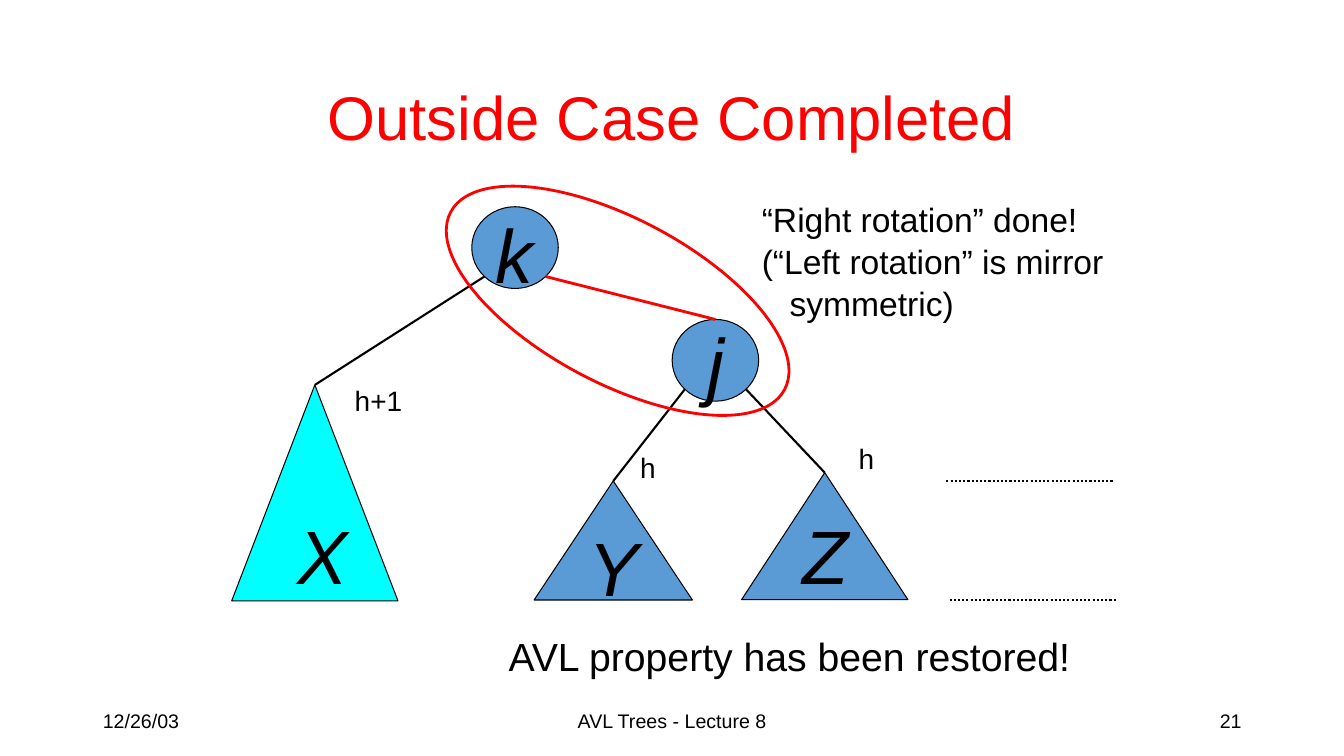
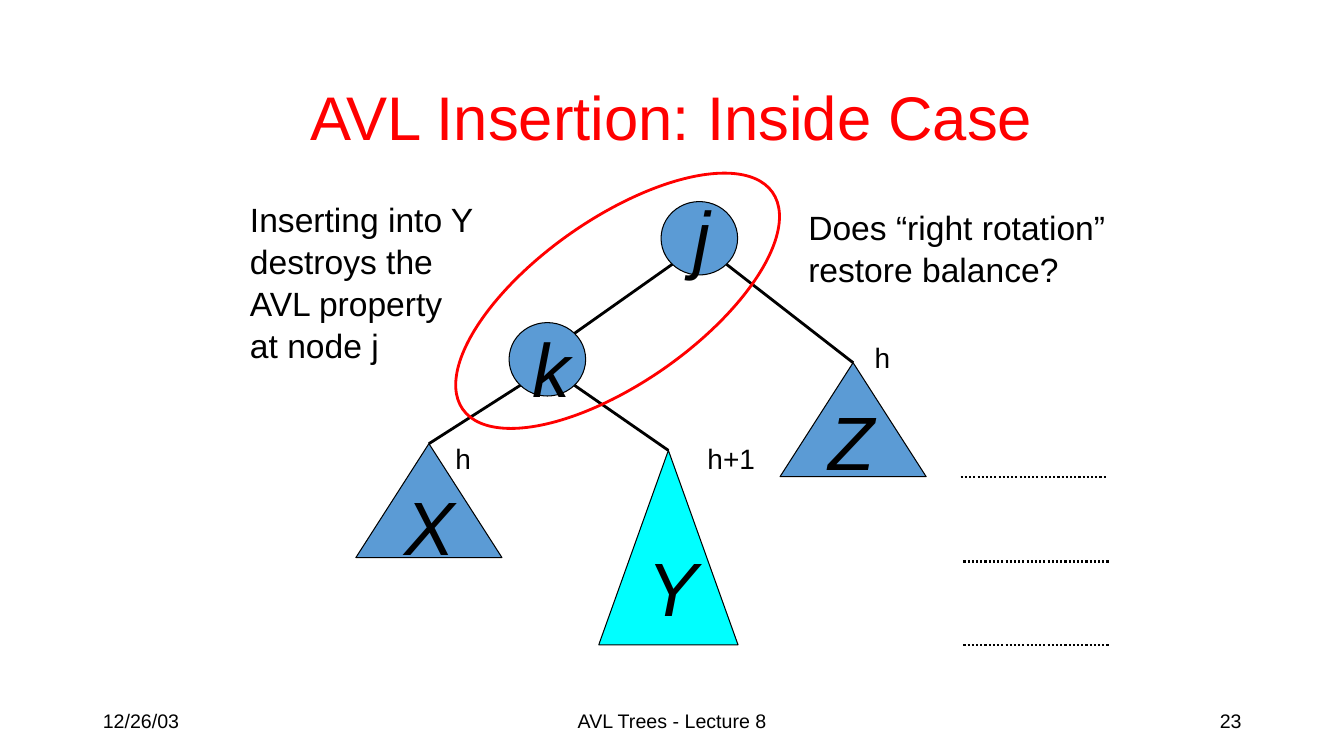
from collections import namedtuple
from math import sqrt

from lxml.etree import SubElement
from pptx import Presentation
from pptx.dml.color import RGBColor
from pptx.enum.dml import MSO_LINE
from pptx.enum.shapes import MSO_CONNECTOR as CONN, MSO_SHAPE as SHAPE
from pptx.enum.text import MSO_ANCHOR as ANCHOR, PP_ALIGN as ALIGN
from pptx.oxml.ns import qn
from pptx.util import Cm, Pt

COLORS = {"black": "000000", "red": "FF0000", "blue": "5B9BD5", "cyan": "00FFFF"}
FONT = "Arial"
Box = namedtuple("Box", "x y w h")
TITLE = Box(6.07, 1.8, 21.72, 2.24)
TREE = Box(5.5, 4, 23, 13)
FOOTER = Box(2.59, 17.65, 28.7, 1.02)
RING = Box(5.3, 1.51, 9.53, 4.14)


def color(name):
    """Return the named colour."""
    return RGBColor.from_string(COLORS[name])


def place(sp, box):
    """Move a shape to a box given in centimetres."""
    sp.left, sp.top, sp.width, sp.height = (Cm(v) for v in box)


def within(outer, x, y, w, h):
    """Turn a position relative to a box into a box on the slide."""
    return Box(outer.x + x, outer.y + y, w, h)


def add_run(p, text, size, tint="black", italic=None):
    """Add one formatted run."""
    r = p.add_run()
    r.text = text
    r.font.name, r.font.size, r.font.italic = FONT, Pt(size), italic
    r.font.color.rgb = color(tint)


def add_text(slide, box, lines, size, align=ALIGN.LEFT, anchor=ANCHOR.TOP,
             italic=None, spacing=None):
    """Add a text box without margins, one paragraph for each line."""
    sp = slide.shapes.add_textbox(*(Cm(v) for v in box))
    tf = sp.text_frame
    tf.word_wrap = True
    tf.vertical_anchor = anchor
    tf.margin_left = tf.margin_right = tf.margin_top = tf.margin_bottom = 0
    for i, line in enumerate(lines):
        p = tf.add_paragraph() if i else tf.paragraphs[0]
        p.alignment, p.line_spacing = align, spacing
        add_run(p, line, size, italic=italic)
    return sp


def add_figure(slide, preset, box, fill=None, tint="black", width=0.75):
    """Add a filled or hollow preset shape."""
    sp = slide.shapes.add_shape(preset, *(Cm(v) for v in box))
    sp.shadow.inherit = False
    if fill:
        sp.fill.solid()
        sp.fill.fore_color.rgb = color(fill)
    else:
        sp.fill.background()
    sp.line.color.rgb = color(tint)
    sp.line.width = Pt(width)
    return sp


def add_line(slide, start, end, width, tint="black"):
    """Add a straight line between two points."""
    ln = slide.shapes.add_connector(CONN.STRAIGHT, *start, *end)
    ln.line.color.rgb = color(tint)
    ln.line.width = Pt(width)
    SubElement(ln._element.spPr, qn("a:effectLst"))
    return ln


def rim(node, dx, dy):
    """Return the diagonal point on the rim of a round node."""
    return (round(node.left + node.width * (1 + dx / sqrt(2)) / 2),
            round(node.top + node.height * (1 + dy / sqrt(2)) / 2))


def add_edge(slide, node, dx, child, width, tint="black"):
    """Join the lower rim of a node to the top of a child."""
    start = rim(node, dx, 1)
    ln = add_line(slide, start, start, width, tint)
    ln.end_connect(child, 0)


def add_part(slide, area, preset, box, letter, offset, fill="blue"):
    """Add a node or subtree with its large letter."""
    sp = add_figure(slide, preset, within(area, *box), fill)
    x, y = box[0] + offset[0], box[1] + offset[1]
    add_text(slide, within(area, x, y, 1.5, 2.3), [letter], 54, italic=True)
    return sp


def add_ring(slide, area, angle):
    """Add the tilted ring around the two nodes."""
    sp = add_figure(slide, SHAPE.OVAL, within(area, *RING), tint="red", width=2)
    sp.rotation = angle


def add_heights(slide, area, labels):
    """Add the subtree height labels."""
    for text, x, y in labels:
        add_text(slide, within(area, x, y, 1.5, 0.85), [text], 20)


def add_levels(slide, area, length, points):
    """Add the dotted level marks."""
    for x, y in points:
        left, top = Cm(area.x + x), Cm(area.y + y)
        ln = add_line(slide, (left, top), (left + Cm(length), top), 1.5)
        ln.line.dash_style = MSO_LINE.ROUND_DOT


def add_note(slide, area, box, lines):
    """Add an explanatory note."""
    return add_text(slide, within(area, *box), lines, 24, spacing=1.04)


def add_footer(slide, area, number):
    """Add the date, lecture name and slide number."""
    parts = [("12/26/03", 0, ALIGN.LEFT),
             ("AVL Trees - Lecture 8", 1, ALIGN.CENTER),
             (number, 2, ALIGN.RIGHT)]
    w = area.w / 3
    for text, i, align in parts:
        add_text(slide, within(area, i * w, 0, w, area.h), [text], 14,
                 align, ANCHOR.MIDDLE)


def new_slide(prs, title, number):
    """Add a slide with its title and footer."""
    slide = prs.slides.add_slide(prs.slide_layouts[5])
    sp = slide.shapes.title
    place(sp, TITLE)
    tf = sp.text_frame
    tf.vertical_anchor = ANCHOR.MIDDLE
    p = tf.paragraphs[0]
    p.alignment = ALIGN.CENTER
    add_run(p, title, 44, "red")
    add_footer(slide, FOOTER, number)
    return slide


def outside_tree(slide, area):
    """Draw the balanced tree after the right rotation."""
    k = add_part(slide, area, SHAPE.OVAL, (6.39, 1.21, 2.18, 2.06), "k", (0.61, 0.02))
    j = add_part(slide, area, SHAPE.OVAL, (11.44, 4.05, 2.18, 2.06), "j", (0.89, -0.06))
    tri = SHAPE.ISOSCELES_TRIANGLE
    x = add_part(slide, area, tri, (0.34, 5.7, 4.19, 5.44), "X", (1.65, 3.13), "cyan")
    y = add_part(slide, area, tri, (7.96, 8.12, 3.99, 3), "Y", (1.37, 1.01))
    z = add_part(slide, area, tri, (13.19, 7.91, 4.19, 3.2), "Z", (1.53, 0.92))
    for node, dx, child in [(k, -1, x), (j, -1, y), (j, 1, z)]:
        add_edge(slide, node, dx, child, 1.5)
    add_edge(slide, k, 1, j, 2, "red")
    add_ring(slide, area, 28)
    add_heights(slide, area, [("h+1", 3.44, 5.66), ("h", 10.63, 7.36), ("h", 16.14, 7.13)])
    add_levels(slide, area, 4.19, [(18.35, 8.12), (18.43, 11.11)])


def inside_tree(slide, area):
    """Draw the tree unbalanced by an insertion into Y."""
    j = add_part(slide, area, SHAPE.OVAL, (11.16, 1.08, 1.93, 1.85), "j", (0.82, -0.3))
    k = add_part(slide, area, SHAPE.OVAL, (7.33, 4.13, 1.93, 1.85), "k", (0.58, -0.03))
    tri = SHAPE.ISOSCELES_TRIANGLE
    x = add_part(slide, area, tri, (3.47, 7.18, 3.68, 2.87), "X", (1.22, 0.91))
    y = add_part(slide, area, tri, (9.59, 7.35, 3.51, 4.9), "Y", (1.22, 2.29), "cyan")
    z = add_part(slide, area, tri, (14.16, 5.14, 3.68, 2.87), "Z", (1.22, 0.82))
    for node, dx, child in [(k, -1, x), (k, 1, y), (j, 1, z)]:
        add_edge(slide, node, dx, child, 2)
    add_line(slide, rim(j, -1, 1), rim(k, 1, -1), 2)
    add_ring(slide, area, 325)
    add_heights(slide, area, [("h", 5.98, 7.13), ("h+1", 12.33, 7.13), ("h", 16.54, 4.59)])
    add_levels(slide, area, 3.68, [(18.71, 8.01), (18.78, 10.15), (18.78, 12.26)])


def outside_slide(prs):
    """Build the slide on the completed outside case."""
    slide = new_slide(prs, "Outside Case Completed", "21")
    outside_tree(slide, TREE)
    sp = add_note(slide, TREE, (13.7, 0.98, 9.5, 3.1),
                  ["“Right rotation” done!", "(“Left rotation” is mirror", "symmetric)"])
    sp.text_frame.paragraphs[2]._p.get_or_add_pPr().set("marL", str(Cm(0.7)))
    add_text(slide, within(TREE, 7.32, 11.93, 15, 1.2),
             ["AVL property has been restored!"], 28)


def inside_slide(prs):
    """Build the slide on the inside case."""
    slide = new_slide(prs, "AVL Insertion: Inside Case", "23")
    inside_tree(slide, TREE)
    add_note(slide, TREE, (0.8, 0.98, 6.2, 4.1),
             ["Inserting into Y", "destroys the", "AVL property", "at node j"])
    add_note(slide, TREE, (14.87, 1.18, 8.5, 2.1),
             ["Does “right rotation”", "restore balance?"])


def main():
    """Build and save the presentation."""
    prs = Presentation()
    prs.slide_width, prs.slide_height = Cm(33.87), Cm(19.05)
    outside_slide(prs)
    inside_slide(prs)
    prs.save("out.pptx")


if __name__ == "__main__":
    main()
